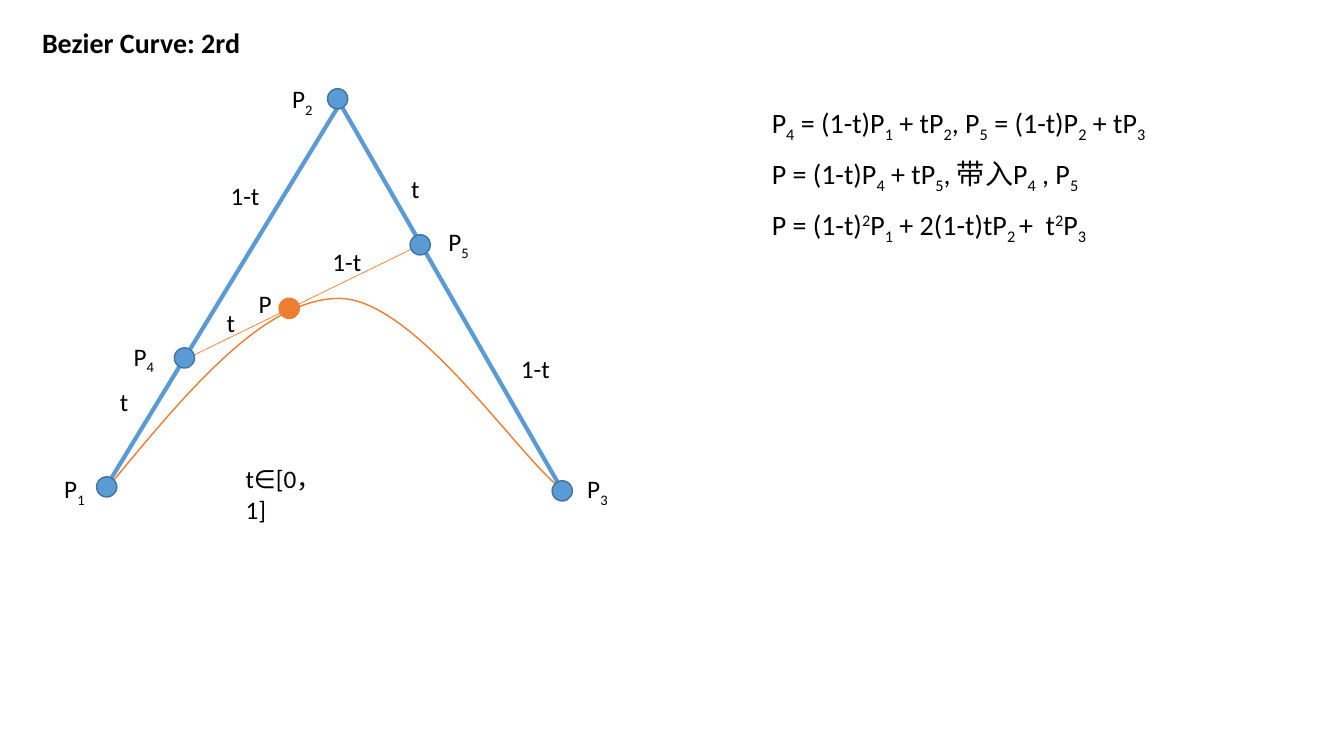
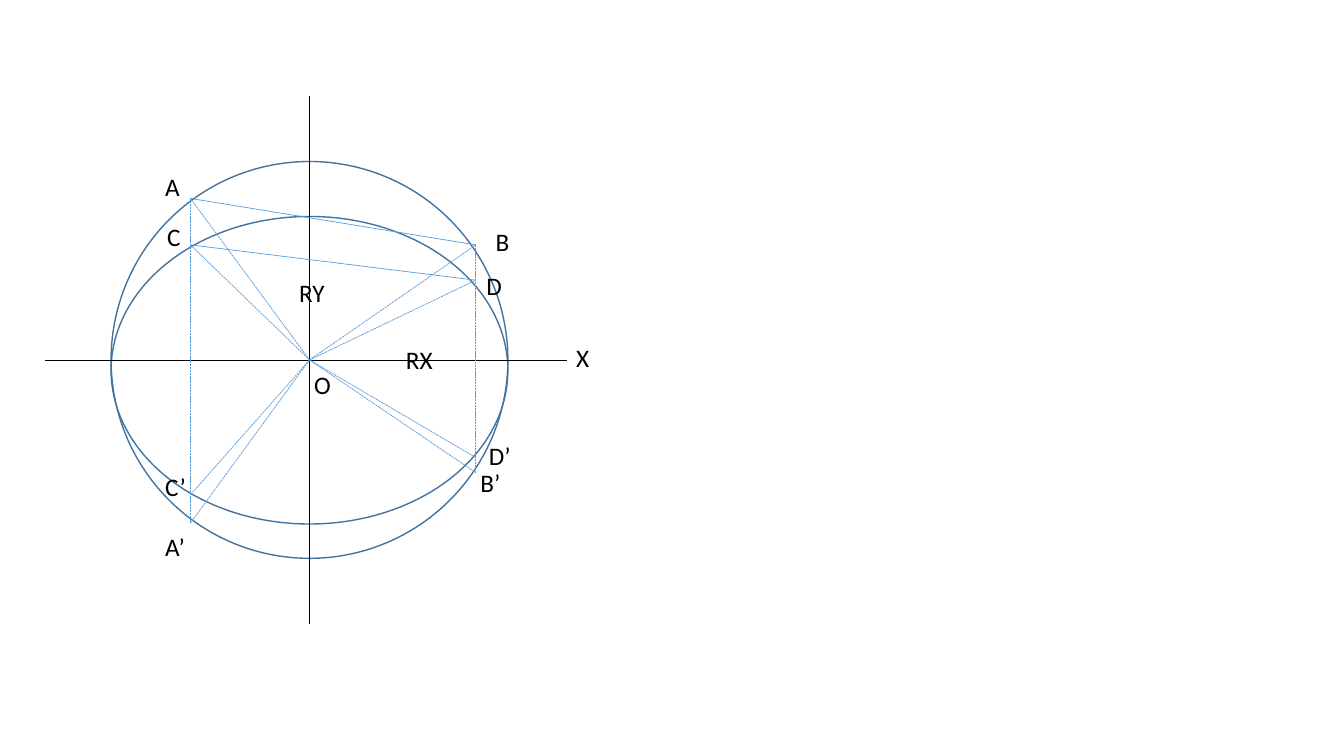
from lxml.etree import SubElement
from pptx import Presentation
from pptx.dml.color import RGBColor
from pptx.enum.dml import MSO_LINE
from pptx.enum.shapes import MSO_CONNECTOR, MSO_SHAPE
from pptx.enum.text import MSO_AUTO_SIZE
from pptx.oxml.ns import qn
from pptx.util import Cm, Pt

BLACK = RGBColor(0x00, 0x00, 0x00)
BLUE = RGBColor(0x5B, 0x9B, 0xD5)
DARK_BLUE = RGBColor(0x43, 0x73, 0x9E)
ORANGE = RGBColor(0xED, 0x7D, 0x31)
BASELINES = {"_": "-25000", "^": "30000"}


class Sketch:
    font_name = "Calibri"
    label_size = 18
    heading_size = 20
    node_size = 0.51

    def __init__(self, deck):
        self.deck = deck
        self.page = None

    def new_page(self):
        self.page = self.deck.slides.add_slide(self.deck.slide_layouts[6])

    def text(self, content, left, top, width, size=label_size, bold=False, wrap=False):
        height = 1.02 if size == self.label_size else 1.12
        box = self.page.shapes.add_textbox(Cm(left), Cm(top), Cm(width), Cm(height))
        frame = box.text_frame
        frame.word_wrap = wrap
        frame.auto_size = MSO_AUTO_SIZE.SHAPE_TO_FIT_TEXT
        para = frame.paragraphs[0]
        for piece in content.split("|"):
            span = para.add_run()
            span.text = piece.lstrip("_^")
            span.font.name = self.font_name
            span.font.size = Pt(size)
            span.font.bold = bold
            span.font.color.rgb = BLACK
            if piece[0] in BASELINES:
                span._r.get_or_add_rPr().set("baseline", BASELINES[piece[0]])

    def line(self, start, end, color, weight=0.5, dashed=False):
        ends = [Cm(value) for value in (*start, *end)]
        line = self.page.shapes.add_connector(MSO_CONNECTOR.STRAIGHT, *ends)
        line.line.color.rgb = color
        line.line.width = Pt(weight)
        if dashed:
            line.line.dash_style = MSO_LINE.SQUARE_DOT
        SubElement(line._element.spPr, qn("a:effectLst"))

    def outline(self, shape, color, fill=None):
        shape.shadow.inherit = False
        shape.line.color.rgb = color
        shape.line.width = Pt(1)
        if fill is None:
            shape.fill.background()
        else:
            shape.fill.solid()
            shape.fill.fore_color.rgb = fill

    def ellipse(self, center, width, height, color, fill=None):
        left, top = center[0] - width / 2, center[1] - height / 2
        shape = self.page.shapes.add_shape(
            MSO_SHAPE.OVAL, Cm(left), Cm(top), Cm(width), Cm(height))
        self.outline(shape, color, fill)

    def node(self, center, color=DARK_BLUE, fill=BLUE):
        self.ellipse(center, self.node_size, self.node_size, color, fill)

    def curve(self, segments, color, steps=40):
        points = [
            tuple(Cm(value) for value in cubic_point(segment, step / steps))
            for segment in segments for step in range(steps + 1)]
        builder = self.page.shapes.build_freeform(*points[0])
        builder.add_line_segments(points[1:], close=False)
        self.outline(builder.convert_to_shape(), color)


def cubic_point(controls, t):
    weights = ((1 - t) ** 3, 3 * t * (1 - t) ** 2, 3 * t ** 2 * (1 - t), t ** 3)
    return [sum(weight * point[axis] for weight, point in zip(weights, controls))
            for axis in (0, 1)]


def bezier_page(sketch):
    sketch.new_page()
    sketch.text("Bezier Curve: 2rd", 0.81, 0.51, 5.56, sketch.heading_size, bold=True)
    crest = (8.56, 7.52)
    sketch.curve([
        ((2.77, 12.22), (4.72, 9.86), (6.65, 7.52), crest),
        (crest, (10.46, 7.54), (13.08, 11.53), (14.15, 12.32)),
    ], ORANGE)
    sketch.line((2.72, 12.19), (8.61, 2.54), BLUE, 3)
    sketch.line((8.53, 2.54), (14.15, 12.32), BLUE, 3)
    sketch.line((4.7, 9.04), (10.59, 6.17), ORANGE)
    for center in ((2.69, 12.27), (8.51, 2.49), (14.17, 12.37), (4.65, 9.02), (10.59, 6.17)):
        sketch.node(center)
    sketch.node((7.29, 7.77), ORANGE, ORANGE)

    for left, top in ((2.77, 9.6), (10.11, 4.24), (5.46, 7.62)):
        sketch.text("t", left, top, 0.74)
    for left, top in ((5.56, 4.42), (12.88, 8.79), (8.13, 6.07)):
        sketch.text("1-t", left, top, 1.24)
    point_labels = ((1.37, 11.81), (7.11, 1.98), (14.55, 11.81), (3.12, 8.48), (11.05, 5.59))
    for number, (left, top) in enumerate(point_labels, 1):
        sketch.text(f"P|_{number}", left, top, 1.07)
    sketch.text("P", 6.27, 7.14, 0.84)
    sketch.text("t∈[0，1]", 5.94, 11.56, 2.8, wrap=True)

    formulas = (
        ("P|_4| = (1-t)P|_1| + tP|_2|, P|_5| = (1-t)P|_2| + tP|_3", 10.44),
        ("P = (1-t)P|_4| + tP|_5|, 带入P|_4| , P|_5", 8.69),
        ("P = (1-t)|^2|P|_1| + 2(1-t)tP|_2 |+  t|^2|P|_3", 9.09),
    )
    for row, (formula, width) in enumerate(formulas):
        sketch.text(formula, 19.2, 2.54 + 1.28 * row, width, sketch.heading_size)


def ellipse_page(sketch):
    sketch.new_page()
    origin = (7.8, 9.07)
    left, right = 4.8, 11.99
    points = {
        "A": (left, 5.0), "B": (right, 6.17), "C": (left, 6.17), "D": (right, 7.06),
        "A’": (left, 13.18), "B’": (right, 11.91),
        "C’": (left, 12.47), "D’": (right, 11.53),
    }
    sketch.ellipse(origin, 10, 10, DARK_BLUE)
    sketch.ellipse((7.8, 9.33), 10, 7.75, DARK_BLUE)
    sketch.line((1.14, origin[1]), (14.3, origin[1]), BLACK)
    sketch.line((origin[0], 2.41), (origin[0], 15.72), BLACK)
    for start, end in ("AB", "CD"):
        sketch.line(points[start], points[end], BLUE)
    for name in "AB":
        sketch.line(points[name], points[name + "’"], BLUE, dashed=True)
    for point in points.values():
        sketch.line(origin, point, BLUE, dashed=True)

    labels = (
        ("A", 3.91, 4.19, 0.89), ("B", 12.24, 5.59, 0.86),
        ("C", 3.96, 5.46, 0.86), ("D", 12.01, 6.68, 0.91),
        ("A’", 3.91, 13.26, 1.02), ("B’", 11.86, 11.66, 1.02),
        ("C’", 3.91, 11.76, 1.04), ("D’", 12.07, 10.97, 1.07),
        ("O", 7.67, 9.17, 0.94), ("X", 14.27, 8.51, 0.84),
        ("RX", 9.98, 8.56, 1.19), ("RY", 7.29, 6.86, 1.17),
    )
    for label in labels:
        sketch.text(*label)


def main():
    deck = Presentation()
    deck.slide_width, deck.slide_height = Cm(33.87), Cm(19.05)
    sketch = Sketch(deck)
    bezier_page(sketch)
    ellipse_page(sketch)
    deck.save("out.pptx")


if __name__ == "__main__":
    main()
